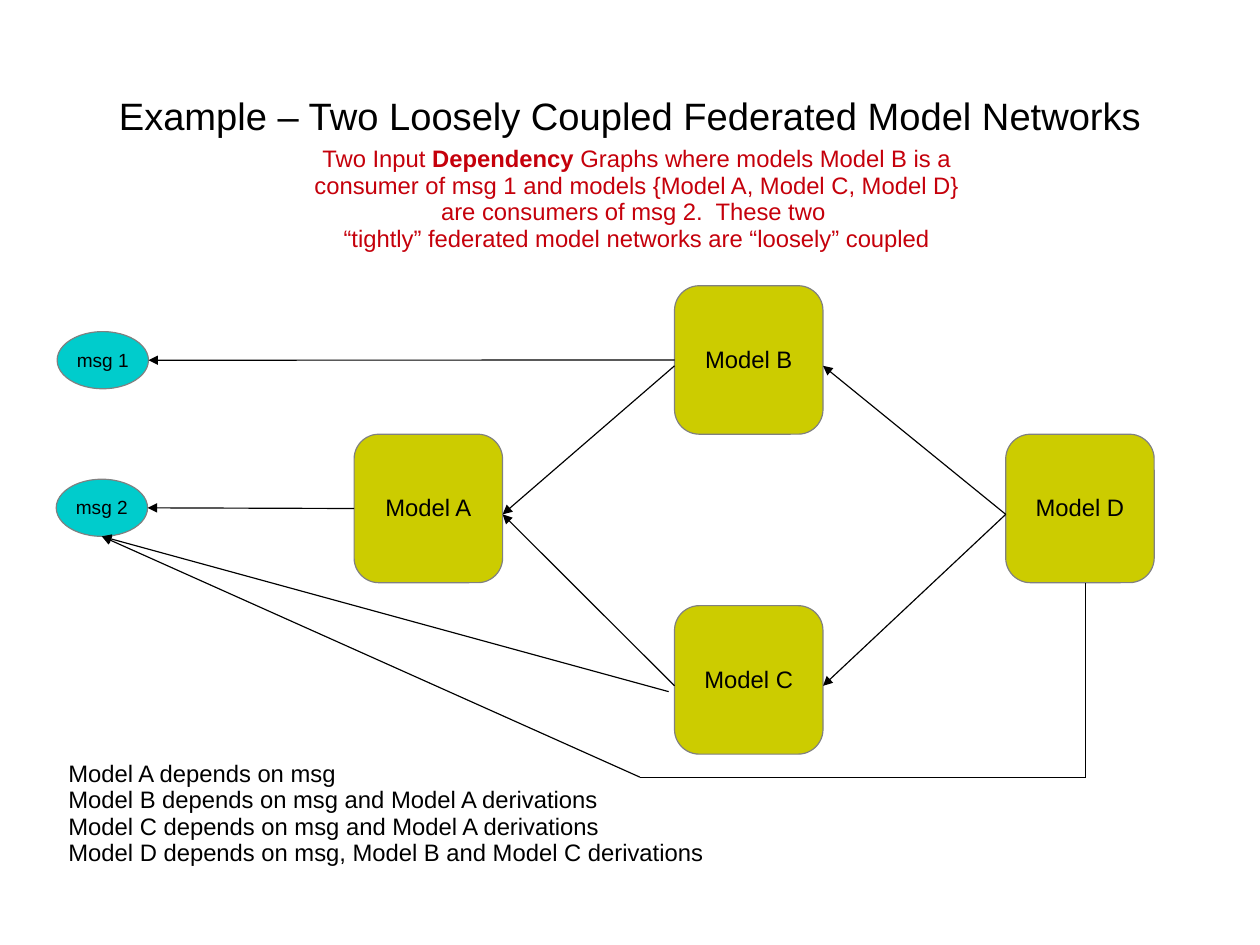
from lxml import etree
from pptx import Presentation
from pptx.dml.color import RGBColor
from pptx.enum import shapes, text
from pptx.oxml.ns import qn
from pptx.util import Cm, Pt

TITLE = "Example – Two Loosely Coupled Federated Model Networks"
INTRO = [
    "Two Input ",
    "*Dependency",
    " Graphs where models Model B is a consumer of msg 1 and models "
    "{Model A, Model C, Model D} are consumers of msg 2.  These two ",
    "\n",
    "“tightly” federated model networks are “loosely” coupled",
]
RULES = [
    "Model A depends on msg",
    "Model B depends on msg and Model A derivations",
    "Model C depends on msg and Model A derivations",
    "Model D depends on msg, Model B and Model C derivations",
]
COLORS = {"model": "CCCC00", "msg": "00CCCC", "edge": "808080",
          "ink": "000000", "intro": "C5000B"}

# Left and top corners in cm
SIDE = 3.3
MODELS = {"A": (7.87, 9.65), "B": (14.99, 6.35),
          "C": (14.99, 13.46), "D": (22.35, 9.65)}
MSG_W, MSG_H = 2.03, 1.27
MSGS = {"1": (1.27, 7.37), "2": (1.25, 10.65)}
# Model links: consumer, then the model it depends on
LINKS = [("C", "A"), ("B", "A"), ("D", "C"), ("D", "B")]
DROP = 0.13  # link ends sit this far below the middle of a side
LEFT = 1     # connection site

prs = Presentation()
prs.slide_width, prs.slide_height = Cm(28), Cm(21)
slide = prs.slides.add_slide(prs.slide_layouts[1])


def color(name):
    return RGBColor.from_string(COLORS[name])


def write(shape, paras, size=15, ink="ink", align="CENTER", anchor="MIDDLE",
          wrap=True, inset=(0.25, 0.15, 0.25, 0.13)):
    """Fill a shape; each paragraph is a list of parts, '*' marks bold."""
    frame = shape.text_frame
    frame.auto_size = text.MSO_AUTO_SIZE.NONE
    frame.word_wrap = wrap
    frame.vertical_anchor = text.MSO_ANCHOR[anchor]
    (frame.margin_left, frame.margin_top,
     frame.margin_right, frame.margin_bottom) = map(Cm, inset)
    for i, parts in enumerate(paras):
        para = frame.paragraphs[0] if i == 0 else frame.add_paragraph()
        props = para._p.get_or_add_pPr()
        props.set("marL", "0")
        props.set("indent", "0")
        etree.SubElement(props, qn("a:buNone"))
        para.alignment = text.PP_ALIGN[align]
        para.line_spacing = 0.93
        para.space_before = Pt(0)
        for part in parts:
            if part == "\n":
                para.add_line_break()
                continue
            run = para.add_run()
            run.text = part.lstrip("*")
            font = run.font
            font.name, font.size = "Arial", Pt(size)
            font.bold = part.startswith("*")
            font.color.rgb = color(ink)


def place(shape, left, top, width, height):
    shape.left, shape.top = Cm(left), Cm(top)
    shape.width, shape.height = Cm(width), Cm(height)
    return shape


def node(kind, spot, width, height, fill, label, size):
    shape = slide.shapes.add_shape(kind, *map(Cm, (*spot, width, height)))
    shape.shadow.inherit = False
    shape.fill.solid()
    shape.fill.fore_color.rgb = color(fill)
    shape.line.color.rgb = color("edge")
    shape.line.width = Pt(0.75)
    write(shape, [[label]], size=size, wrap=False)
    return shape


def link(start, end, head=True, source=None):
    line = slide.shapes.add_connector(
        shapes.MSO_CONNECTOR.STRAIGHT, *map(Cm, (*start, *end)))
    if source is not None:
        line.begin_connect(source, LEFT)
    line.line.color.rgb = color("ink")
    line.line.width = Pt(0.75)
    if head:
        etree.SubElement(line.line._get_or_add_ln(), qn("a:tailEnd"),
                         type="triangle")
    etree.SubElement(line._element.spPr, qn("a:effectLst"))


write(place(slide.shapes.title, 1.4, 0.84, 25.2, 3.5), [[TITLE]], size=24,
      inset=(0, 0.05, 0, 0))
write(place(slide.placeholders[1], 1.27, 16.76, 15, 2.6),
      [[rule] for rule in RULES], align="LEFT", anchor="TOP")
intro = slide.shapes.add_textbox(*map(Cm, (6.65, 3.1, 15, 2.6)))
write(intro, [INTRO], ink="intro", anchor="TOP")

boxes = {}
for name, spot in MODELS.items():
    boxes[name] = node(shapes.MSO_SHAPE.ROUNDED_RECTANGLE, spot, SIDE, SIDE,
                       "model", f"Model {name}", 15)
for name, spot in MSGS.items():
    node(shapes.MSO_SHAPE.OVAL, spot, MSG_W, MSG_H, "msg", f"msg {name}", 12)

for user, base in LINKS:
    (x1, y1), (x2, y2) = MODELS[user], MODELS[base]
    mid = SIDE / 2 + DROP
    link((x1, y1 + mid), (x2 + SIDE, y2 + mid))

for user, msg in (("B", "1"), ("A", "2")):
    x, y = MSGS[msg]
    link(MODELS[user], (x + MSG_W, y + MSG_H / 2), source=boxes[user])

# Models C and D reach the bottom of msg 2
x, y = MSGS["2"]
foot = (x + MSG_W / 2, y + MSG_H)
link((14.86, 15.37), foot)
x, y = MODELS["D"]
route = [(x + SIDE / 2 + DROP, y + SIDE), (x + SIDE / 2 + DROP, 17.27),
         (14.22, 17.27), foot]
for start, end in zip(route, route[1:]):
    link(start, end, head=end == foot)

prs.save("out.pptx")
